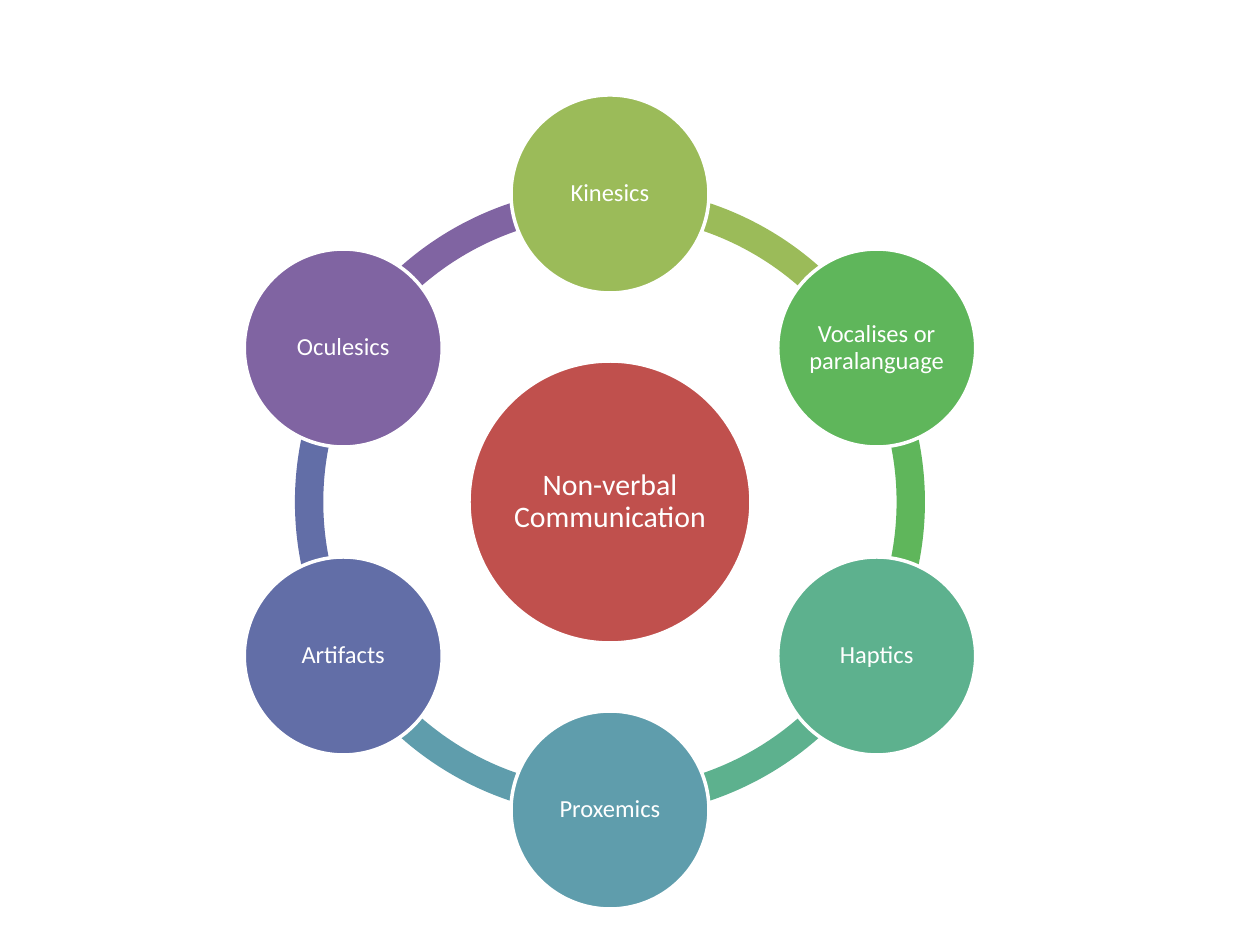
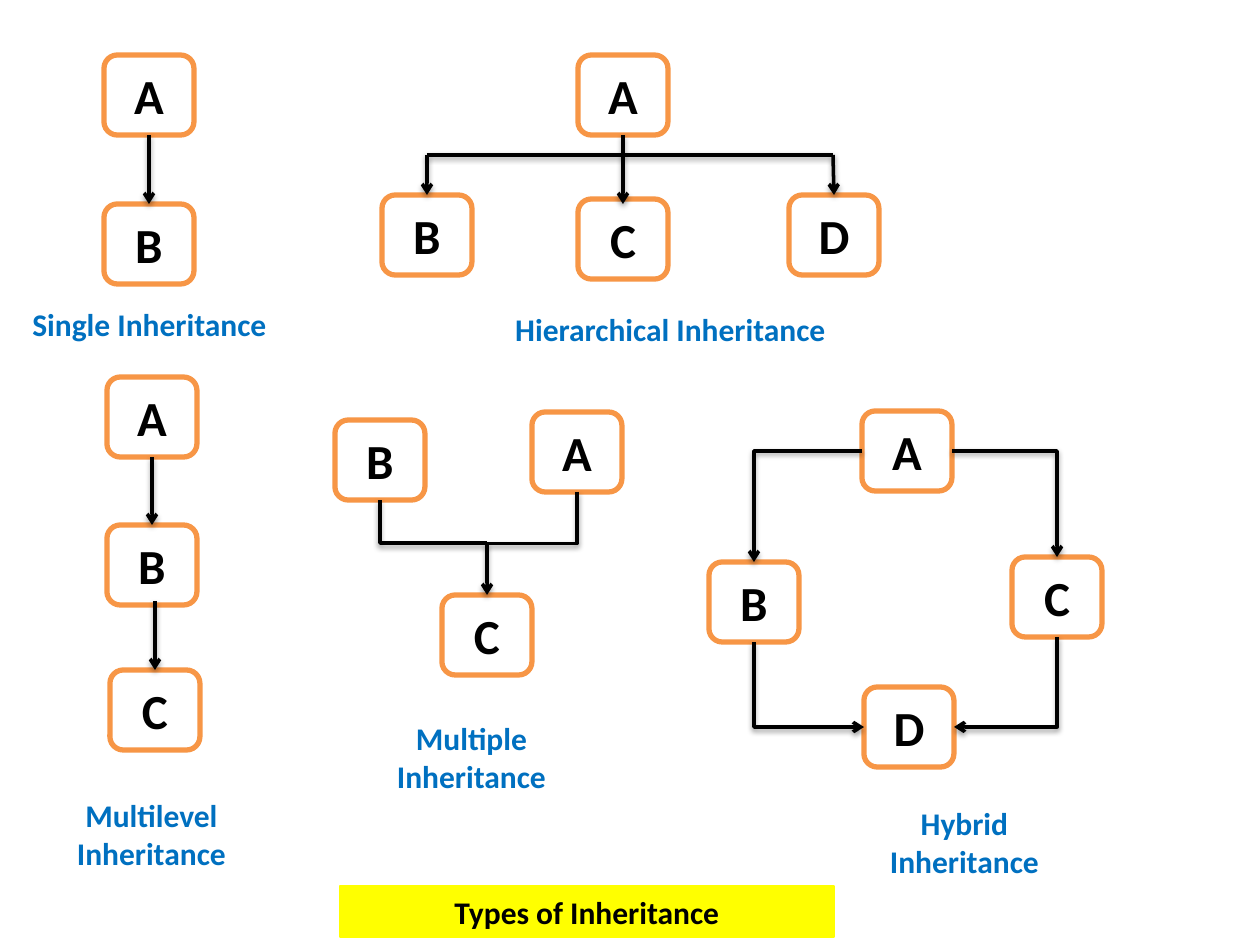
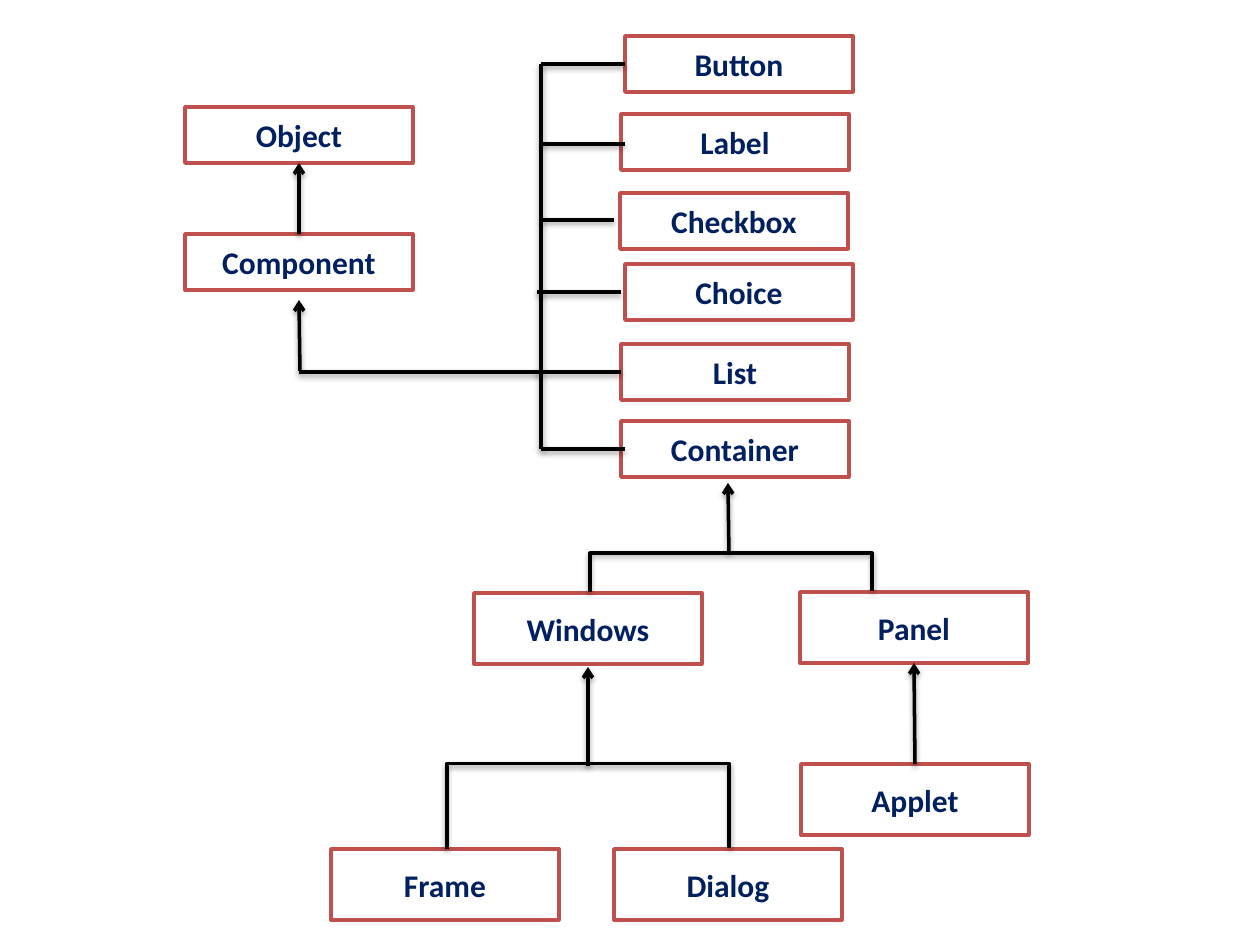
from math import cos, radians, sin

from pptx import Presentation
from pptx.dml.color import RGBColor
from pptx.enum.shapes import MSO_CONNECTOR as LINK, MSO_SHAPE as SHAPE
from pptx.enum.text import MSO_ANCHOR as ANCHOR, PP_ALIGN as ALIGN
from pptx.oxml import parse_xml
from pptx.oxml.ns import nsdecls, qn
from pptx.util import Pt

PX = 914400 / 126
FONT = "Calibri"
WHITE = RGBColor(0xFF, 0xFF, 0xFF)
BLACK = RGBColor(0x00, 0x00, 0x00)
YELLOW = RGBColor(0xFF, 0xFF, 0x00)
ORANGE = RGBColor(0xF7, 0x96, 0x46)
RED = RGBColor(0xC0, 0x50, 0x4D)
BLUE = RGBColor(0x00, 0x70, 0xC0)
NAVY = RGBColor(0x00, 0x20, 0x60)
LIME = RGBColor(0x9B, 0xBB, 0x59)
GREEN = RGBColor(0x5F, 0xB6, 0x5B)
MINT = RGBColor(0x5D, 0xB1, 0x8E)
TEAL = RGBColor(0x5F, 0x9D, 0xAC)
INDIGO = RGBColor(0x62, 0x6E, 0xA7)
PURPLE = RGBColor(0x80, 0x64, 0xA2)
TOP, LEFT, BOTTOM, RIGHT = range(4)

SHADOW = (f'<a:effectLst {nsdecls("a")}>'
          '<a:outerShdw blurRad="40000" dist="20000" dir="5400000" rotWithShape="0">'
          '<a:srgbClr val="000000"><a:alpha val="38000"/></a:srgbClr>'
          '</a:outerShdw></a:effectLst>')


def add_text(page, text, x, y, width, height, shape=None, fill=WHITE, line=WHITE,
             weight=2, size=18, color=BLACK, bold=True, align=ALIGN.CENTER,
             inset=None, spacing=None):
    """Add a text box, or a filled shape when a preset is given."""
    area = [round(value * PX) for value in (x, y, width, height)]
    if shape is None:
        box = page.shapes.add_textbox(*area)
    else:
        box = page.shapes.add_shape(shape, *area)
        box.shadow.inherit = False
        box.fill.solid()
        box.fill.fore_color.rgb = fill
        box.line.color.rgb = line
        box.line.width = Pt(weight)
    frame = box.text_frame
    frame.word_wrap = True
    frame.vertical_anchor = ANCHOR.TOP if shape is None else ANCHOR.MIDDLE
    if inset is not None:
        frame.margin_left = frame.margin_right = round(inset * PX)
        frame.margin_top = frame.margin_bottom = round(inset * PX)
    para = frame.paragraphs[0]
    para.alignment = align
    para.line_spacing = spacing
    span = para.add_run()
    span.text = text
    span.font.name = FONT
    span.font.size = Pt(size)
    span.font.bold = bold
    span.font.color.rgb = color
    return box


def join(page, start, end, arrow=False, preset=None, vertical=False, bend=None):
    """Link two ends, each a point (x, y) or a pair (box, side)."""
    free = [isinstance(tip[0], int) for tip in (start, end)]
    points = [round(value * PX) for tip, loose in zip((start, end), free)
              for value in (tip if loose else (0, 0))]
    link = page.shapes.add_connector(LINK.ELBOW if preset else LINK.STRAIGHT, *points)
    if not free[0]:
        link.begin_connect(*start)
    if not free[1]:
        link.end_connect(*end)
    props = link.element.spPr
    geometry = props.find(qn("a:prstGeom"))
    if preset:
        geometry.set("prst", preset)
    if vertical:
        # Lay the link out sideways, then turn it a quarter about its middle
        x1, y1, x2, y2 = link.begin_x, link.begin_y, link.end_x, link.end_y
        link.begin_x = (x1 + x2 - y2 + y1) // 2
        link.begin_y = (y1 + y2 + x2 - x1) // 2
        link.end_x = (x1 + x2 + y2 - y1) // 2
        link.end_y = (y1 + y2 - x2 + x1) // 2
        props.find(qn("a:xfrm")).set("rot", "5400000")
    if bend is not None:
        guides = geometry.find(qn("a:avLst"))
        guides.append(parse_xml(
            f'<a:gd {nsdecls("a")} name="adj1" fmla="val {bend * 100000}"/>'))
    link.line.color.rgb = BLACK
    link.line.width = Pt(2)
    if arrow:
        props.find(qn("a:ln")).append(parse_xml(f'<a:tailEnd {nsdecls("a")} type="arrow"/>'))
    props.append(parse_xml(SHADOW))


deck = Presentation()
deck.slide_width, deck.slide_height = round(1260 * PX), round(945 * PX)
blank = deck.slide_layouts[6]

# Slide 1: ring of non-verbal communication
page = deck.slides.add_slide(blank)
CENTER_X, CENTER_Y, ORBIT = 610, 502, 308
RING, HUB, NODE = 630, 282, 198
nodes = [("Kinesics", LIME), ("Vocalises or paralanguage", GREEN), ("Haptics", MINT),
         ("Proxemics", TEAL), ("Artifacts", INDIGO), ("Oculesics", PURPLE)]
STEP = 360 // len(nodes)

for index, (name, color) in enumerate(nodes):
    angle = 270 + index * STEP
    arc = page.shapes.add_shape(
        SHAPE.BLOCK_ARC, round((CENTER_X - RING / 2) * PX),
        round((CENTER_Y - RING / 2) * PX), round(RING * PX), round(RING * PX))
    arc.shadow.inherit = False
    arc.fill.solid()
    arc.fill.fore_color.rgb = color
    arc.line.fill.background()
    # Angles are stored in 60000ths of a degree, adjustments in 100000ths
    arc.adjustments[0] = angle % 360 * 0.6
    arc.adjustments[1] = (angle + STEP) % 360 * 0.6
    arc.adjustments[2] = 0.045

round_style = dict(shape=SHAPE.OVAL, color=WHITE, bold=False, inset=2, spacing=0.9)
add_text(page, "Non-verbal Communication", CENTER_X - HUB / 2, CENTER_Y - HUB / 2,
         HUB, HUB, fill=RED, size=17, **round_style)
for index, (name, color) in enumerate(nodes):
    angle = radians(270 + index * STEP)
    add_text(page, name, CENTER_X + ORBIT * cos(angle) - NODE / 2,
             CENTER_Y + ORBIT * sin(angle) - NODE / 2, NODE, NODE,
             fill=color, size=14, **round_style)

# Slide 2: types of inheritance
page = deck.slides.add_slide(blank)
families = {
    "single": [("A", 104, 55), ("B", 104, 204)],
    "multilevel": [("A", 107, 377), ("B", 107, 525), ("C", 110, 670)],
    "hierarchical": [("A", 578, 55), ("B", 382, 195), ("C", 578, 199), ("D", 789, 195)],
    "multiple": [("A", 532, 412), ("B", 335, 420), ("C", 442, 595)],
    "hybrid": [("A", 862, 411), ("B", 709, 562), ("C", 1012, 557), ("D", 864, 687)],
}
classes = {}
for family, members in families.items():
    for name, x, y in members:
        classes[family, name] = add_text(
            page, name, x, y, 90, 80, shape=SHAPE.ROUNDED_RECTANGLE,
            line=ORANGE, weight=3, size=28)

# Captions
for caption, x, y, width, height, align in [
    ("Single Inheritance", 20, 299, 263, 50, ALIGN.LEFT),
    ("Multilevel Inheritance", 20, 790, 263, 89, ALIGN.CENTER),
    ("Hierarchical Inheritance", 492, 304, 357, 50, ALIGN.CENTER),
    ("Multiple Inheritance", 340, 713, 263, 89, ALIGN.CENTER),
    ("Hybrid Inheritance", 833, 798, 263, 89, ALIGN.CENTER),
]:
    add_text(page, caption, x, y, width, height, color=BLUE, align=align)
add_text(page, "Types of Inheritance", 340, 886, 494, 51, shape=SHAPE.RECTANGLE,
         fill=YELLOW, line=YELLOW, weight=0.75)

# Straight arrows
join(page, (427, 155), (833, 155))
for start, end in [
    ((classes["single", "A"], BOTTOM), (classes["single", "B"], TOP)),
    ((classes["multilevel", "A"], BOTTOM), (classes["multilevel", "B"], TOP)),
    ((155, 601), (classes["multilevel", "C"], TOP)),
    ((classes["hierarchical", "A"], BOTTOM), (623, 204)),
    ((427, 155), (classes["hierarchical", "B"], TOP)),
    ((833, 155), (classes["hierarchical", "D"], TOP)),
]:
    join(page, start, end, arrow=True)

# Bent arrows
join(page, (classes["multiple", "A"], BOTTOM), (classes["multiple", "C"], TOP),
     arrow=True, preset="bentConnector3", vertical=True)
join(page, (classes["multiple", "B"], BOTTOM), (487, 543),
     preset="bentConnector2", vertical=True)
for first, side, second, other_side in [
    ("A", RIGHT, "C", TOP), ("A", LEFT, "B", TOP),
    ("B", BOTTOM, "D", LEFT), ("C", BOTTOM, "D", RIGHT),
]:
    join(page, (classes["hybrid", first], side), (classes["hybrid", second], other_side),
         arrow=True, preset="bentConnector2", vertical=side == BOTTOM)

# Slide 3: component class tree
page = deck.slides.add_slide(blank)
parts = {}
for name, x, y, height in [
    ("Object", 185, 107, 56), ("Component", 185, 234, 56),
    ("Button", 625, 36, 56), ("Label", 621, 114, 56), ("Checkbox", 620, 193, 56),
    ("Choice", 625, 264, 56), ("List", 621, 344, 56), ("Container", 621, 421, 56),
    ("Windows", 474, 593, 71), ("Panel", 800, 592, 71), ("Applet", 801, 764, 71),
    ("Frame", 331, 849, 71), ("Dialog", 614, 849, 71),
]:
    parts[name] = add_text(page, name, x, y, 228, height, shape=SHAPE.RECTANGLE,
                           line=RED, color=NAVY)

# Trunk and branches
join(page, (541, 64), (541, 449))
for start, end in [
    ((541, 64), (parts["Button"], LEFT)), ((541, 144), (625, 144)),
    ((541, 220), (614, 220)), ((537, 292), (621, 292)),
    ((536, 372), (parts["List"], LEFT)), ((541, 449), (625, 449)),
    ((299, 372), (537, 372)),
]:
    join(page, start, end)

# Forks, with the bend as a multiple of the one px rise
join(page, (447, 849), (729, 848), preset="bentConnector3", vertical=True, bend=86)
join(page, (590, 592), (872, 591), preset="bentConnector3", vertical=True, bend=39)

# Arrows to the parent classes
for start, end in [
    ((parts["Component"], TOP), (parts["Object"], BOTTOM)),
    ((300, 371), (299, 300)),
    ((729, 553), (728, 483)),
    ((588, 766), (588, 667)),
    ((parts["Applet"], TOP), (parts["Panel"], BOTTOM)),
]:
    join(page, start, end, arrow=True)

deck.save("out.pptx")
